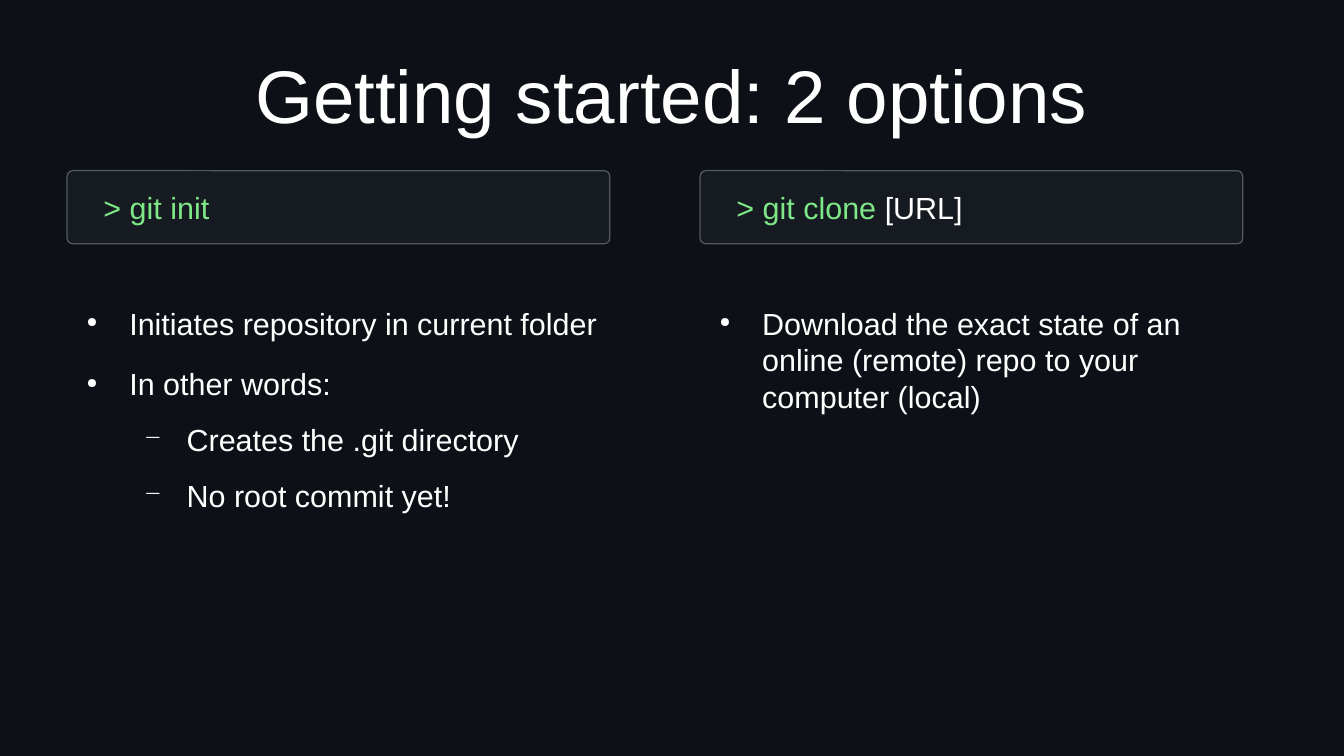
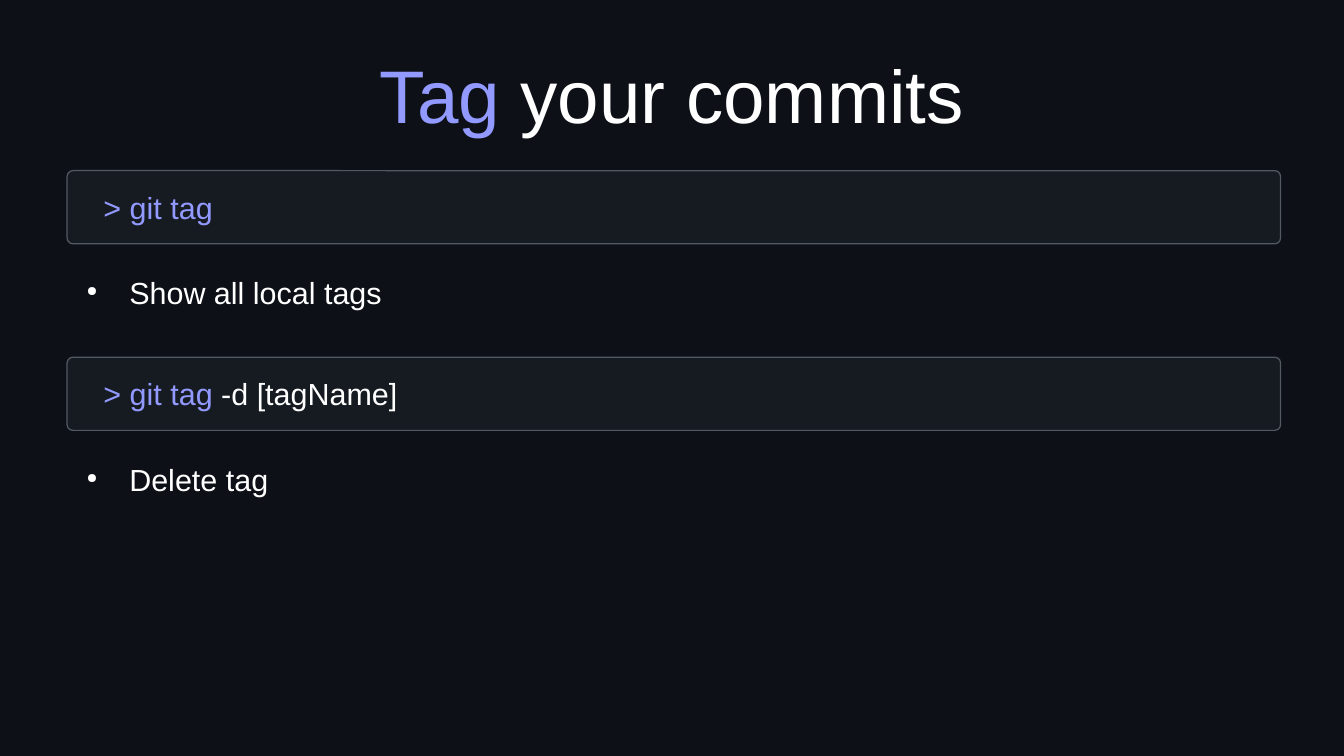
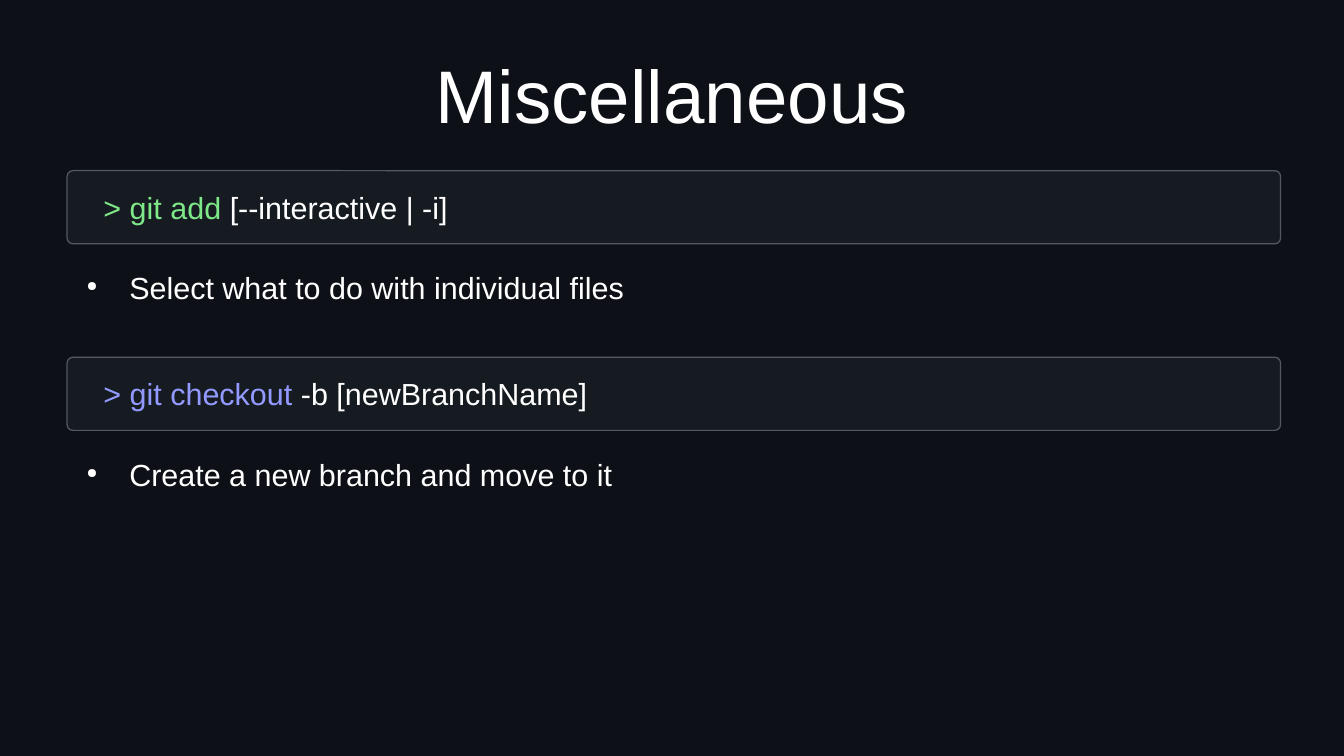
from dataclasses import dataclass

from lxml.etree import SubElement
from pptx import Presentation
from pptx.dml.color import RGBColor
from pptx.enum.shapes import MSO_SHAPE
from pptx.enum.text import MSO_ANCHOR, PP_ALIGN
from pptx.oxml.ns import qn
from pptx.util import Emu, Pt


@dataclass(frozen=True)
class Theme:
    background: str = "0D1117"
    panel: str = "161B22"
    border: str = "535960"
    text: str = "FFFFFF"
    green: str = "7EE787"
    violet: str = "939AFF"
    font: str = "Arial"
    title_size: int = 44
    body_size: int = 18


@dataclass(frozen=True)
class Bullet:
    symbol: str
    percent: int
    space_before: float


THEME = Theme()
BULLETS = (Bullet("●", 45, 14.2), Bullet("−", 75, 11.3))

SLIDE_SIZE = (1102, 620)
TITLE_BOX = (55, 25, 992, 104)
LEFT, TOP = 55, 140
FULL_WIDTH, COLUMN_WIDTH = 995, 445
COLUMN_PITCH, ROW_PITCH = 519, 153
PANEL_HEIGHT = 60


def px(length):
    """Convert px, 100 to the inch, to EMU."""
    return Emu(length * 9144)


def color(code):
    return RGBColor.from_string(code)


def add_text_frame(slide, box, margins=(0, 0), anchor=MSO_ANCHOR.TOP):
    frame = slide.shapes.add_textbox(*map(px, box)).text_frame
    frame.word_wrap = True
    frame.vertical_anchor = anchor
    frame.margin_left = frame.margin_right = px(margins[0])
    frame.margin_top = frame.margin_bottom = px(margins[1])
    return frame


def write(paragraph, parts, size):
    """Fill a paragraph with (text, colour) parts."""
    paragraph.font.name = THEME.font
    paragraph.font.size = Pt(size)
    for text, code in parts:
        run = paragraph.add_run()
        run.text = text
        if len(parts) > 1:
            run.font.color.rgb = color(code)
    if len(parts) == 1:
        paragraph.font.color.rgb = color(parts[0][1])


def set_bullet(paragraph, level):
    bullet = BULLETS[level]
    paragraph.level = level
    properties = paragraph._p.get_or_add_pPr()
    properties.set("marL", str(px(47 * (level + 1))))
    properties.set("indent", str(px(-35)))
    bullet_color = SubElement(properties, qn("a:buClr"))
    SubElement(bullet_color, qn("a:srgbClr"), val=THEME.text)
    SubElement(properties, qn("a:buSzPct"), val=str(bullet.percent * 1000))
    SubElement(properties, qn("a:buChar"), char=bullet.symbol)


def add_title(slide, parts):
    title = add_text_frame(slide, TITLE_BOX, anchor=MSO_ANCHOR.MIDDLE).paragraphs[0]
    title.alignment = PP_ALIGN.CENTER
    write(title, parts, THEME.title_size)


def add_command(slide, left, top, width, parts):
    panel = slide.shapes.add_shape(
        MSO_SHAPE.ROUNDED_RECTANGLE, *map(px, (left, top, width, PANEL_HEIGHT)))
    panel.adjustments[0] = 0.08
    panel.shadow.inherit = False
    panel.fill.solid()
    panel.fill.fore_color.rgb = color(THEME.panel)
    panel.line.color.rgb = color(THEME.border)
    panel.line.width = Pt(0)
    command = add_text_frame(slide, (left + 20, top + 10, width - 20, 38), (10, 5))
    write(command.paragraphs[0], parts, THEME.body_size)


def add_points(slide, box, points):
    """Write (level, text) points as a bulleted list."""
    frame = add_text_frame(slide, box)
    for index, (level, text) in enumerate(points):
        point = frame.add_paragraph() if index else frame.paragraphs[0]
        set_bullet(point, level)
        if index:
            point.space_before = Pt(BULLETS[level].space_before)
        write(point, [(text, THEME.text)], THEME.body_size)


def add_section(slide, left, top, width, command, points, points_offset, points_height):
    """Place a command panel with its explanation below."""
    add_command(slide, left, top, width, command)
    points_box = (left + 4, top + points_offset, width - 4, points_height)
    add_points(slide, points_box, points)


def add_titled_slide(deck, title):
    slide = deck.slides.add_slide(deck.slide_layouts[6])
    slide.background.fill.solid()
    slide.background.fill.fore_color.rgb = color(THEME.background)
    add_title(slide, title)
    return slide


def add_column_slide(deck, title, sections):
    slide = add_titled_slide(deck, title)
    for column, (command, points) in enumerate(sections):
        add_section(slide, LEFT + column * COLUMN_PITCH, TOP, COLUMN_WIDTH,
                    command, points, 110, 325)


def add_row_slide(deck, title, sections, points_offset):
    slide = add_titled_slide(deck, title)
    for row, (command, points) in enumerate(sections):
        add_section(slide, LEFT, TOP + row * ROW_PITCH, FULL_WIDTH,
                    command, points, points_offset, 50)


def main():
    deck = Presentation()
    deck.slide_width, deck.slide_height = map(px, SLIDE_SIZE)
    text, green, violet = THEME.text, THEME.green, THEME.violet

    add_column_slide(deck, [("Getting started: 2 options", text)], [
        ([("> git init", green)], [
            (0, "Initiates repository in current folder"),
            (0, "In other words:"),
            (1, "Creates the .git directory"),
            (1, "No root commit yet!"),
        ]),
        ([("> git clone ", green), ("[URL]", text)], [
            (0, "Download the exact state of an online (remote) repo"
                " to your computer (local)"),
        ]),
    ])
    add_row_slide(deck, [("Tag", violet), (" your commits", text)], [
        ([("> git tag", violet)], [(0, "Show all local tags")]),
        ([("> git tag", violet), (" -d [tagName]", text)], [(0, "Delete tag")]),
    ], points_offset=85)
    add_row_slide(deck, [("Miscellaneous", text)], [
        ([("> git add ", green), ("[--interactive | -i]", text)],
         [(0, "Select what to do with individual files")]),
        ([("> git checkout ", violet), ("-b [newBranchName]", text)],
         [(0, "Create a new branch and move to it")]),
    ], points_offset=81)

    deck.save("out.pptx")


if __name__ == "__main__":
    main()
